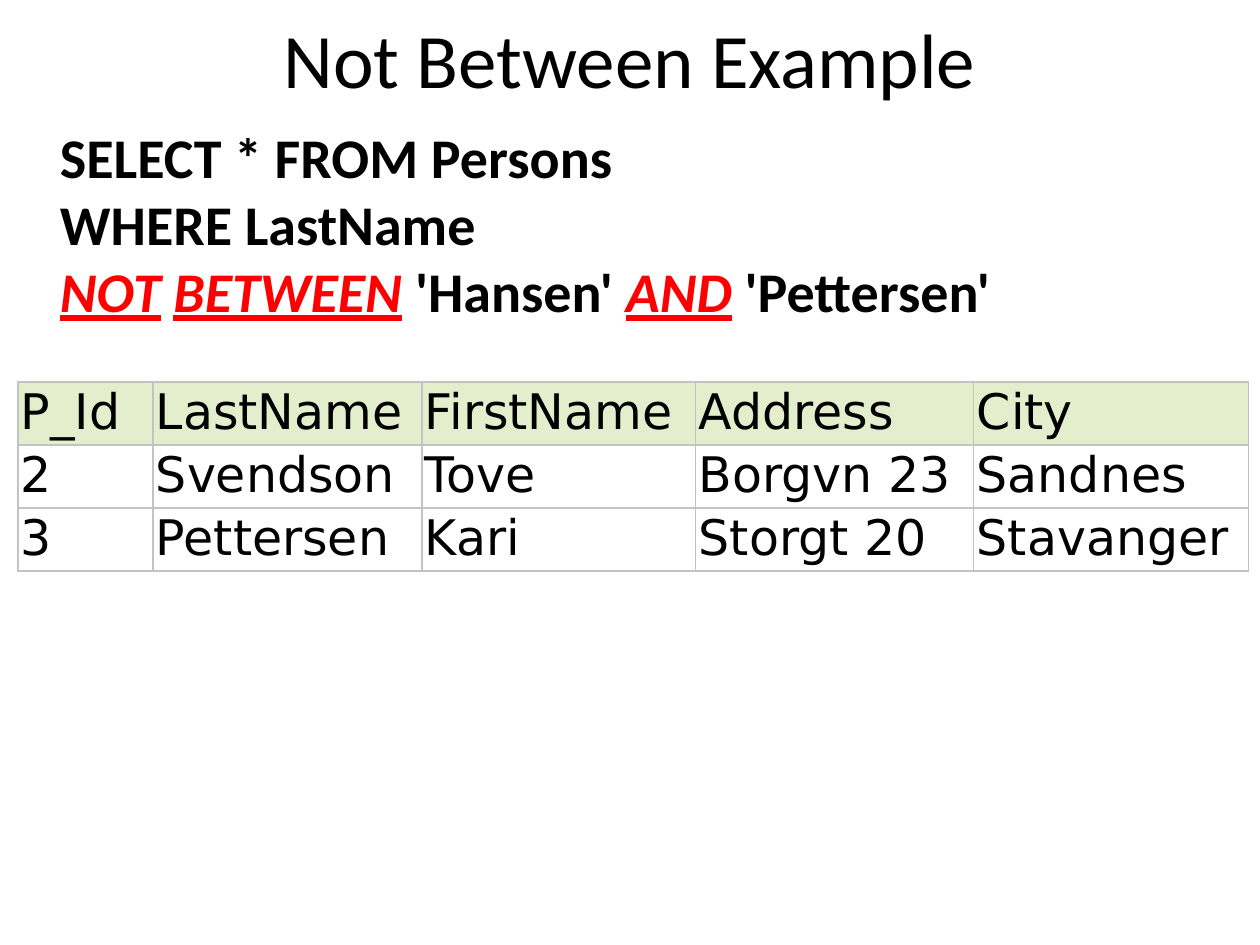
from lxml import etree
from pptx import Presentation
from pptx.dml.color import RGBColor
from pptx.enum.text import MSO_ANCHOR, PP_ALIGN
from pptx.oxml.ns import qn
from pptx.util import Pt

CENTER, MIDDLE = PP_ALIGN.CENTER, MSO_ANCHOR.MIDDLE
BLACK = RGBColor(0, 0, 0)
RED = RGBColor(0xFF, 0, 0)
WHITE = RGBColor(0xFF, 0xFF, 0xFF)
HEADER_GREEN = RGBColor(0xE5, 0xEE, 0xCC)
BORDER_GREY = RGBColor(0xC3, 0xC3, 0xC3)


def px(length):
    return round(length * 914400 / 126)


def write(para, text, size, font="Calibri", color=BLACK, bold=False, italic=False, underline=False):
    span = para.add_run()
    span.text = text
    span.font.size = Pt(size)
    span.font.name = font
    span.font.color.rgb = color
    span.font.bold = bold
    span.font.italic = italic
    span.font.underline = underline


deck = Presentation()
deck.slide_width, deck.slide_height = px(1260), px(945)
page = deck.slides.add_slide(deck.slide_layouts[6])

# Title
title = page.shapes.add_textbox(0, 0, px(1260), px(116)).text_frame
title.word_wrap = True
title.vertical_anchor = MIDDLE
title.paragraphs[0].alignment = CENTER
write(title.paragraphs[0], "Not Between Example", 44)

# Query: keywords in red italics, words underlined
query = page.shapes.add_textbox(0, px(116), px(1260), px(829)).text_frame
query.word_wrap = True
query.margin_left = px(60)
para = query.paragraphs[0]
for line in ("SELECT * FROM Persons", "WHERE LastName"):
    write(para, line, 32, bold=True)
    para.add_line_break()
for text, keyword in (("NOT", True), (" ", False), ("BETWEEN", True),
                      (" 'Hansen' ", False), ("AND", True), (" 'Pettersen'", False)):
    write(para, text, 32, bold=True, color=RED if keyword else BLACK,
          italic=keyword, underline=keyword)

# Result table
rows = [
    ("P_Id", "LastName", "FirstName", "Address", "City"),
    ("2", "Svendson", "Tove", "Borgvn 23", "Sandnes"),
    ("3", "Pettersen", "Kari", "Storgt 20", "Stavanger"),
]
widths = (135, 269, 274, 278, 275)
row_height = 63
table = page.shapes.add_table(len(rows), len(widths), px(18), px(382),
                              px(sum(widths)), px(row_height * len(rows))).table
for column, width in zip(table.columns, widths):
    column.width = px(width)
for r, row in enumerate(rows):
    table.rows[r].height = px(row_height)
    for c, text in enumerate(row):
        cell = table.cell(r, c)
        cell.margin_left = cell.margin_right = px(3)
        cell.margin_top = cell.margin_bottom = px(2)
        write(cell.text_frame.paragraphs[0], text, 28, font="DejaVu Sans")
        # Borders come before the fill in the cell properties
        properties = cell._tc.get_or_add_tcPr()
        for side in ("a:lnL", "a:lnR", "a:lnT", "a:lnB"):
            border = etree.SubElement(properties, qn(side), w=str(Pt(0.75)))
            paint = etree.SubElement(border, qn("a:solidFill"))
            etree.SubElement(paint, qn("a:srgbClr"), val=str(BORDER_GREY))
        cell.fill.solid()
        cell.fill.fore_color.rgb = HEADER_GREEN if r == 0 else WHITE

deck.save("out.pptx")
